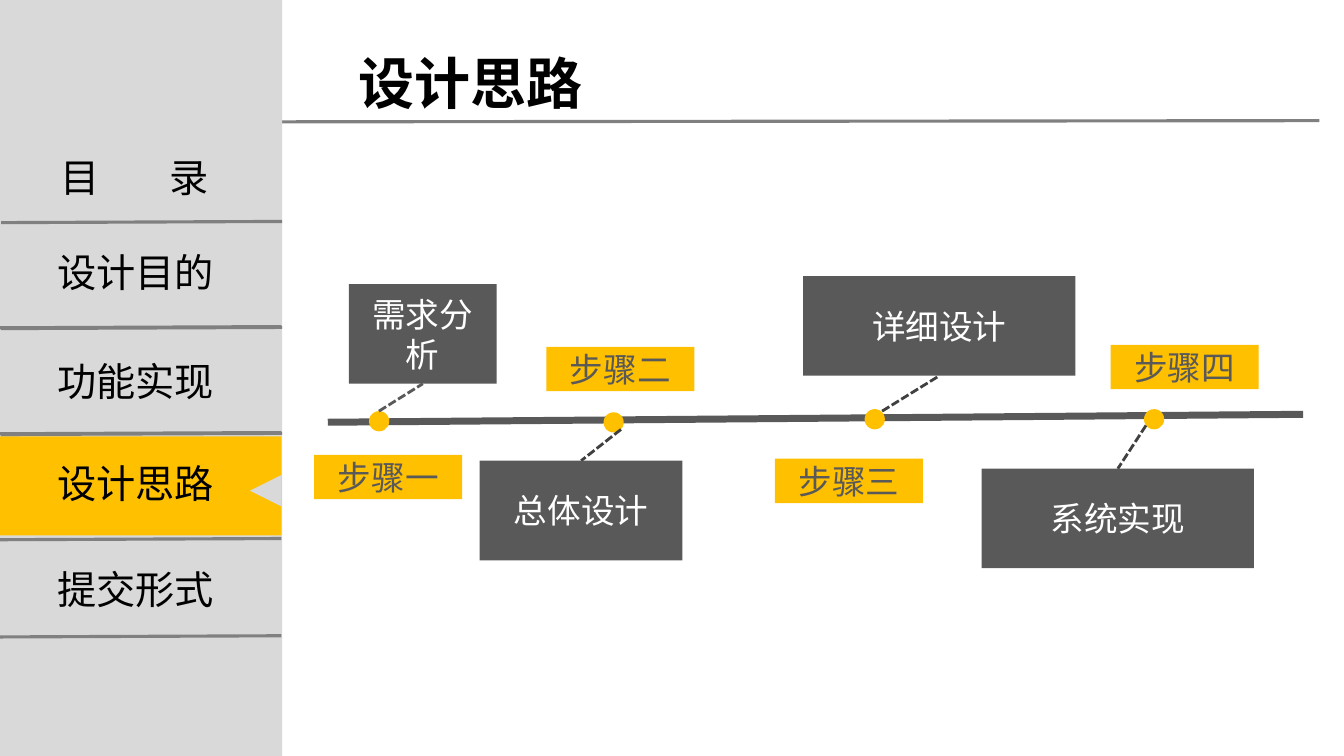
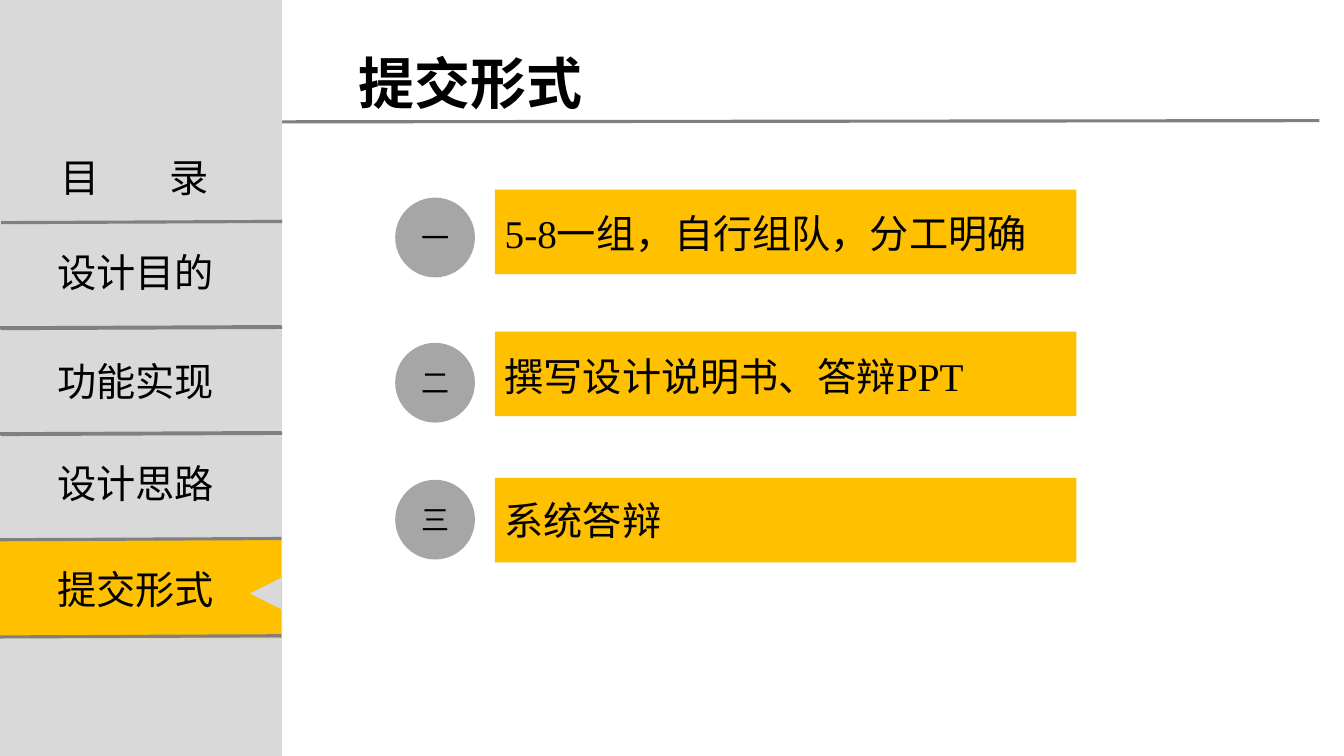
from dataclasses import dataclass

from lxml.etree import SubElement
from pptx import Presentation
from pptx.dml.color import RGBColor
from pptx.enum.dml import MSO_LINE
from pptx.enum.shapes import MSO_CONNECTOR, MSO_SHAPE
from pptx.enum.text import MSO_ANCHOR, MSO_AUTO_SIZE, PP_ALIGN
from pptx.oxml.ns import qn
from pptx.shapes.autoshape import Shape
from pptx.shapes.connector import Connector
from pptx.slide import Slide
from pptx.text.text import _Paragraph
from pptx.util import Cm, Pt

BLACK = RGBColor(0x00, 0x00, 0x00)
WHITE = RGBColor(0xFF, 0xFF, 0xFF)
AMBER = RGBColor(0xFF, 0xC0, 0x00)
PANEL = RGBColor(0xD9, 0xD9, 0xD9)
BADGE = RGBColor(0xA6, 0xA6, 0xA6)
RULE = RGBColor(0x80, 0x80, 0x80)
SLATE = RGBColor(0x59, 0x59, 0x59)
CHARCOAL = RGBColor(0x40, 0x40, 0x40)

SANS = "Arial"
SERIF = "Times New Roman"
CJK = "Noto Sans CJK SC"

SLIDE_WIDTH, SLIDE_HEIGHT = 33.87, 19.05
SIDEBAR_WIDTH = 7.11
RULE_RISE = 0.03
RULE_WEIGHT = 2.25
ENTRY_GAP = 2.67
DOT_SIZE = 0.51
STEP_WIDTH, STEP_HEIGHT = 3.73, 1.12
TASK_HEIGHT = 2.51
BADGE_SIZE = 2.01


@dataclass(frozen=True)
class Box:
    left: float
    top: float
    width: float
    height: float


@dataclass(frozen=True)
class Entry:
    title: str
    text_top: float
    band_top: float


@dataclass(frozen=True)
class Step:
    label: str
    label_at: tuple[float, float]
    task: str
    task_box: Box
    dot_at: tuple[float, float]
    link_from: tuple[float, float]
    link_color: RGBColor


@dataclass(frozen=True)
class Requirement:
    number: str
    text: str
    bar_top: float
    text_top: float
    badge_top: float


ENTRIES = [
    Entry("设计目的", 6.12, 5.66),
    Entry("功能实现", 8.89, 8.33),
    Entry("设计思路", 11.46, 11.0),
    Entry("提交形式", 14.12, 13.59),
]
APPROACH, SUBMISSION = ENTRIES[2:]

STEPS = [
    Step("步骤一", (7.92, 11.46), "需求分析", Box(8.79, 7.16, 3.73, TASK_HEIGHT),
         (9.3, 10.36), (9.55, 10.36), SLATE),
    Step("步骤二", (13.77, 8.74), "总体设计", Box(12.09, 11.61, 5.11, TASK_HEIGHT),
         (15.21, 10.39), (15.65, 10.82), CHARCOAL),
    Step("步骤三", (19.53, 11.56), "详细设计", Box(20.24, 6.96, 6.86, TASK_HEIGHT),
         (21.79, 10.31), (22.23, 10.36), CHARCOAL),
    Step("步骤四", (27.99, 8.69), "系统实现", Box(24.74, 11.81, 6.86, TASK_HEIGHT),
         (28.83, 10.31), (28.88, 10.72), CHARCOAL),
]

REQUIREMENTS = [
    Requirement("一", "5-8一组，自行组队，分工明确", 4.78, 5.16, 4.98),
    Requirement("二", "撰写设计说明书、答辩PPT", 8.36, 8.76, 8.64),
    Requirement("三", "系统答辩", 12.04, 12.37, 12.09),
]


def add_run(paragraph: _Paragraph, text: str, size: float, font: str,
            color: RGBColor, bold: bool = False) -> None:
    run = paragraph.add_run()
    run.text = text
    run.font.size = Pt(size)
    run.font.bold = bold
    run.font.color.rgb = color
    run.font.name = font
    SubElement(run._r.get_or_add_rPr(), qn("a:ea"), typeface=CJK)


def add_figure(slide: Slide, kind: MSO_SHAPE, box: Box, fill: RGBColor) -> Shape:
    figure = slide.shapes.add_shape(
        kind, Cm(box.left), Cm(box.top), Cm(box.width), Cm(box.height))
    figure.shadow.inherit = False
    figure.fill.solid()
    figure.fill.fore_color.rgb = fill
    figure.line.fill.background()
    return figure


def add_label(figure: Shape, text: str, size: float, color: RGBColor) -> None:
    frame = figure.text_frame
    frame.word_wrap = True
    frame.vertical_anchor = MSO_ANCHOR.MIDDLE
    paragraph = frame.paragraphs[0]
    paragraph.alignment = PP_ALIGN.CENTER
    add_run(paragraph, text, size, CJK, color)


def add_text(slide: Slide, box: Box, text: str, size: float = 28,
             font: str = SANS, bold: bool = False) -> _Paragraph:
    frame = slide.shapes.add_textbox(
        Cm(box.left), Cm(box.top), Cm(box.width), Cm(box.height)).text_frame
    frame.word_wrap = True
    frame.auto_size = MSO_AUTO_SIZE.SHAPE_TO_FIT_TEXT
    paragraph = frame.paragraphs[0]
    add_run(paragraph, text, size, font, BLACK, bold)
    return paragraph


def add_line(slide: Slide, start: tuple[float, float], end: tuple[float, float],
             color: RGBColor, weight: float) -> Connector:
    line = slide.shapes.add_connector(
        MSO_CONNECTOR.STRAIGHT, Cm(start[0]), Cm(start[1]), Cm(end[0]), Cm(end[1]))
    line.line.color.rgb = color
    line.line.width = Pt(weight)
    SubElement(line._element.spPr, qn("a:effectLst"))
    return line


def add_rule(slide: Slide, left: float, right: float, top: float) -> None:
    add_line(slide, (left, top), (right, top - RULE_RISE), RULE, RULE_WEIGHT)


def add_title(slide: Slide, title: str) -> None:
    add_rule(slide, SIDEBAR_WIDTH, 33.25, 3.07)
    paragraph = add_text(slide, Box(8.79, 0.25, 20.9, 2.51), title, 40, bold=True)
    paragraph.line_spacing = 1.5


def add_sidebar(slide: Slide, current: Entry) -> None:
    add_figure(slide, MSO_SHAPE.RECTANGLE,
               Box(0, 0, SIDEBAR_WIDTH, SLIDE_HEIGHT), PANEL)
    heading = add_text(slide, Box(1.27, 3.73, 5.51, 1.45), "目\t录")
    tabs = SubElement(heading._p.get_or_add_pPr(), qn("a:tabLst"))
    SubElement(tabs, qn("a:tab"), pos=str(Cm(2.75)), algn="l")

    add_figure(slide, MSO_SHAPE.RECTANGLE, Box(0, current.band_top, 7.09, 2.49), AMBER)
    notch = add_figure(slide, MSO_SHAPE.ISOSCELES_TRIANGLE,
                       Box(6.3, current.band_top + 0.97, 0.79, 0.79), PANEL)
    notch.rotation = 270

    for entry in ENTRIES:
        add_text(slide, Box(1.2, entry.text_top, 5.51, 1.45), entry.title)
    for row in range(3):
        add_rule(slide, 0.03, SIDEBAR_WIDTH, 5.61 + row * ENTRY_GAP)
        add_rule(slide, 0, 7.09, 8.26 + row * ENTRY_GAP)
    add_rule(slide, 0, 7.09, 16.05)


def add_step(slide: Slide, step: Step) -> None:
    add_figure(slide, MSO_SHAPE.OVAL, Box(*step.dot_at, DOT_SIZE, DOT_SIZE), AMBER)
    task = step.task_box
    is_above = task.top < step.dot_at[1]
    link_end = (task.left + task.width / 2,
                task.top + task.height if is_above else task.top)
    link = add_line(slide, step.link_from, link_end, step.link_color, 2)
    link.line.dash_style = MSO_LINE.SQUARE_DOT
    label = add_figure(slide, MSO_SHAPE.RECTANGLE,
                       Box(*step.label_at, STEP_WIDTH, STEP_HEIGHT), AMBER)
    add_label(label, step.label, 24, SLATE)
    add_label(add_figure(slide, MSO_SHAPE.RECTANGLE, task, SLATE), step.task, 24, WHITE)


def add_requirement(slide: Slide, item: Requirement) -> None:
    add_figure(slide, MSO_SHAPE.RECTANGLE, Box(12.47, item.bar_top, 14.66, 2.13), AMBER)
    add_text(slide, Box(12.47, item.text_top, 20.32, 1.45), item.text, font=SERIF)
    badge = add_figure(slide, MSO_SHAPE.OVAL,
                       Box(9.96, item.badge_top, BADGE_SIZE, BADGE_SIZE), BADGE)
    add_label(badge, item.number, 20, BLACK)


def main() -> None:
    deck = Presentation()
    deck.slide_width, deck.slide_height = Cm(SLIDE_WIDTH), Cm(SLIDE_HEIGHT)

    def add_page(entry: Entry) -> Slide:
        slide = deck.slides.add_slide(deck.slide_layouts[6])
        add_title(slide, entry.title)
        add_sidebar(slide, entry)
        return slide

    approach = add_page(APPROACH)
    add_line(approach, (32.84, 10.44), (8.26, 10.64), SLATE, 5)
    for step in STEPS:
        add_step(approach, step)

    submission = add_page(SUBMISSION)
    for item in REQUIREMENTS:
        add_requirement(submission, item)

    deck.save("out.pptx")


if __name__ == "__main__":
    main()
